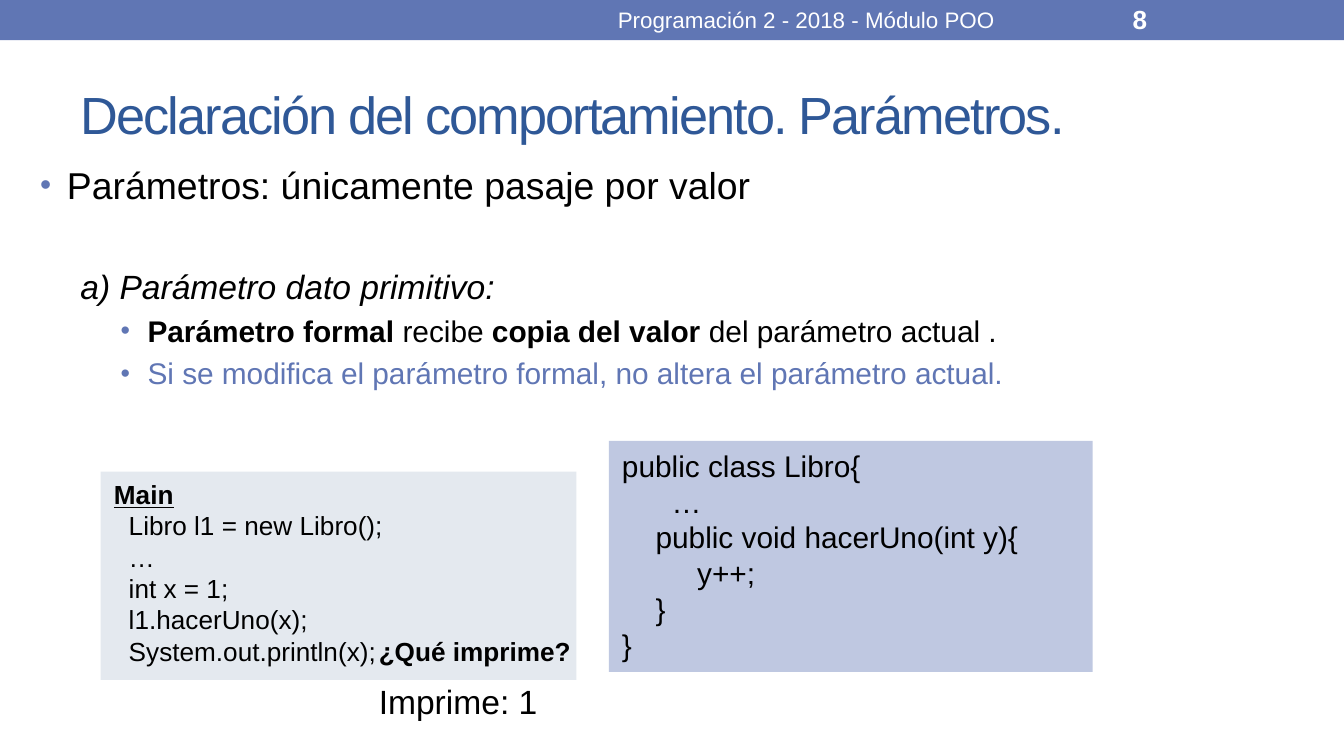
from dataclasses import dataclass
from lxml import etree
from pptx import Presentation
from pptx.dml.color import RGBColor
from pptx.enum.shapes import MSO_SHAPE
from pptx.enum.text import MSO_ANCHOR, MSO_AUTO_SIZE, PP_ALIGN
from pptx.oxml.ns import qn
from pptx.util import Inches, Pt

RECT = MSO_SHAPE.RECTANGLE
TOP, MIDDLE = MSO_ANCHOR.TOP, MSO_ANCHOR.MIDDLE
LEFT, CENTER = PP_ALIGN.LEFT, PP_ALIGN.CENTER
FIXED = MSO_AUTO_SIZE.NONE


@dataclass
class Theme:
    font: str = "Arial"
    black: str = "000000"
    white: str = "FFFFFF"
    blue: str = "6076B4"
    navy: str = "2F5897"
    gray: str = "E4E9EF"
    pale: str = "BFC8E1"
    title: int = 28
    lead: int = 20
    sub: int = 18
    item: int = 16
    small: int = 14
    foot: int = 12


theme = Theme()


def write(frame, text, size, color=theme.black, bold=False, italic=False,
          under=False, align=LEFT, indent=0, before=0, bullet=0, track=0):
    """Add one paragraph; text is a string or a list of (text, bold) runs."""
    first = frame.paragraphs[0]
    para = frame.add_paragraph() if first.runs else first
    para.alignment = align
    para.space_before = Pt(before)
    props = para._p.get_or_add_pPr()
    props.set("marL", str(Inches(indent)))
    props.set("indent", str(Inches(-0.2 if bullet else 0)))
    if bullet:
        tint = etree.SubElement(props, qn("a:buClr"))
        etree.SubElement(tint, qn("a:srgbClr"), val=theme.blue)
        etree.SubElement(props, qn("a:buSzPct"), val=str(bullet * 1000))
        etree.SubElement(props, qn("a:buFont"), typeface=theme.font)
        etree.SubElement(props, qn("a:buChar"), char="•")
    for words, heavy in [(text, bold)] if isinstance(text, str) else text:
        run = para.add_run()
        run.text = words
        font = run.font
        font.name, font.size = theme.font, Pt(size)
        font.bold, font.italic, font.underline = heavy, italic, under
        font.color.rgb = RGBColor.from_string(color)
        if track:
            run._r.get_or_add_rPr().set("spc", str(track * 100))


def box(left, top, width, height, fill=None, anchor=TOP):
    """Add a text box, or a filled rectangle, and return its text frame."""
    area = [Inches(n) for n in (left, top, width, height)]
    if fill:
        shape = slide.shapes.add_shape(RECT, *area)
        shape.shadow.inherit = False
        shape.fill.solid()
        shape.fill.fore_color.rgb = RGBColor.from_string(fill)
        shape.line.fill.background()
    else:
        shape = slide.shapes.add_textbox(*area)
    frame = shape.text_frame
    frame.word_wrap = True
    frame.auto_size = FIXED
    frame.vertical_anchor = anchor
    return frame


# Widescreen page, 16 by 9
deck = Presentation()
deck.slide_width = Inches(10)
deck.slide_height = Inches(10 * 9 / 16)
slide = deck.slides.add_slide(deck.slide_layouts[5])

# Header band
box(0, 0, 10, 0.3, fill=theme.blue)
write(box(3.75, 0.01, 4.5, 0.27, anchor=MIDDLE),
      "Programación 2 - 2018 - Módulo POO", theme.foot, theme.white, align=CENTER)
write(box(8.33, 0.01, 1.17, 0.27, anchor=MIDDLE),
      "8", theme.small, theme.white, bold=True)

# Title
title = slide.shapes.title
title.left, title.top = Inches(0.5), Inches(0.44)
title.width, title.height = Inches(9), Inches(0.81)
head = title.text_frame
head.auto_size = FIXED
head.vertical_anchor = MIDDLE
write(head, "Declaración del comportamiento. Parámetros.",
      theme.title, theme.navy, track=-1)

# Main points
body = box(0.2, 1.16, 7.64, 4)
write(body, "Parámetros: únicamente pasaje por valor", theme.lead,
      indent=0.2, bullet=85)
write(body, "a) Parámetro dato primitivo:", theme.sub, italic=True,
      indent=0.3, before=31.4)
write(body, [("Parámetro formal ", True), ("recibe ", False),
             ("copia del valor ", True), ("del parámetro actual .", False)],
      theme.item, indent=0.8, before=3.5, bullet=90)
write(body, "Si se modifica el parámetro formal, no altera el parámetro actual.",
      theme.item, theme.blue, indent=0.8, before=3.5, bullet=90)

# Main program
main = box(0.75, 3.51, 3.54, 1.55, fill=theme.gray)
write(main, "Main", theme.small, bold=True, under=True)
for code in ("Libro l1 = new Libro();", "…", "int x = 1;",
             "l1.hacerUno(x);", "System.out.println(x);"):
    write(main, code, theme.small, indent=0.11)

# Class code
book = box(4.53, 3.28, 3.6, 1.72, fill=theme.pale)
for code, indent in (("public class Libro{", 0), ("…", 0.37),
                     ("public void hacerUno(int y){", 0.25),
                     ("y++;", 0.56), ("}", 0.25), ("}", 0)):
    write(book, code, theme.item, indent=indent)

# Question and answer
write(box(2.72, 4.68, 1.73, 0.34), "¿Qué imprime?", theme.small, bold=True)
write(box(2.72, 5.02, 1.57, 0.4), "Imprime: 1", theme.sub)

deck.save("out.pptx")
